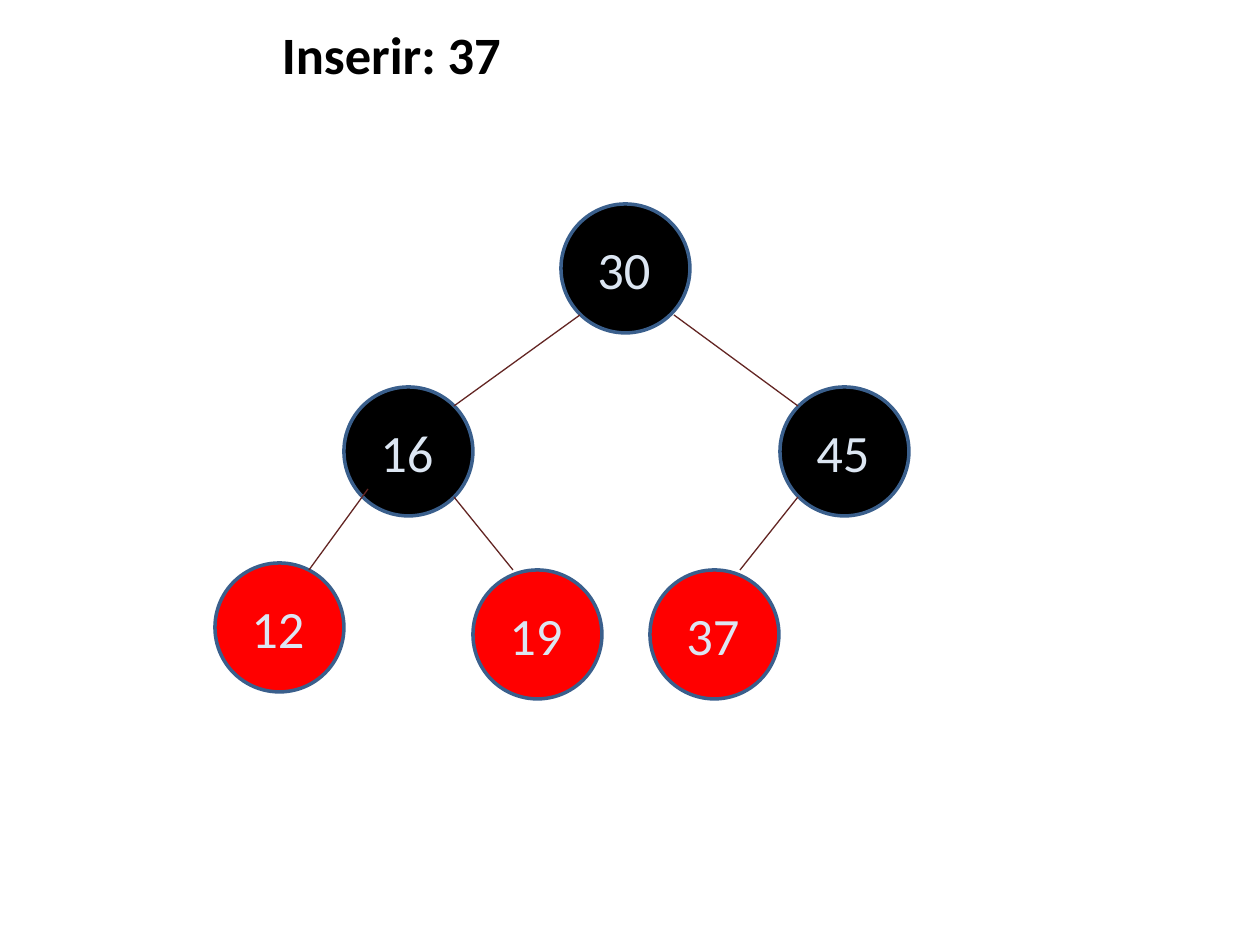
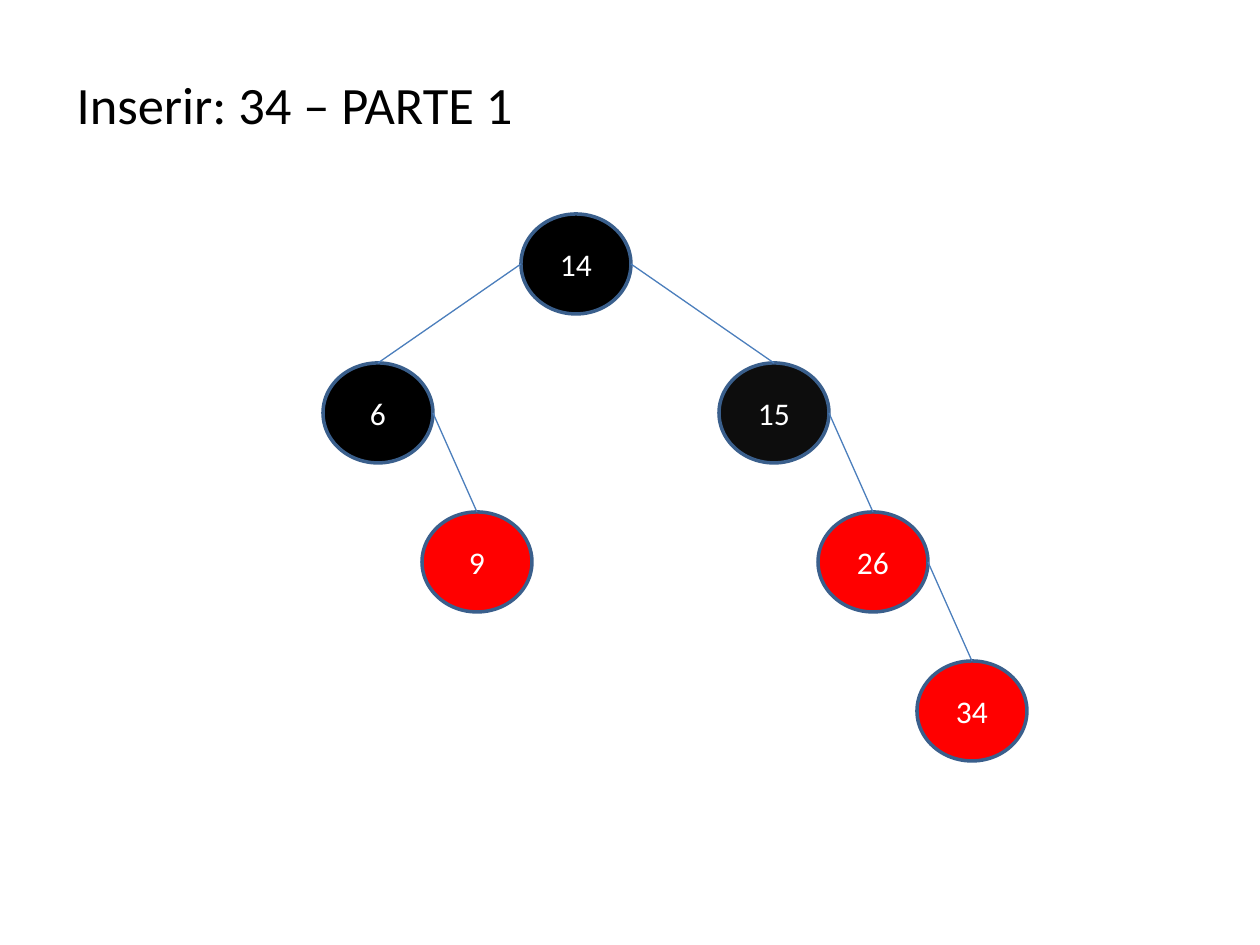
"""Builds two slides that show insertions into red-black trees."""
from dataclasses import dataclass

from lxml.etree import SubElement
from pptx import Presentation
from pptx.dml.color import RGBColor
from pptx.enum.shapes import MSO_CONNECTOR, MSO_SHAPE
from pptx.enum.text import MSO_ANCHOR, MSO_AUTO_SIZE, PP_ALIGN
from pptx.oxml.ns import qn
from pptx.util import Emu, Pt

PIXEL = 914400 // 126
FONT = "Calibri"
BLACK, SOFT_BLACK, RED, WHITE = "000000", "0D0D0D", "FF0000", "FFFFFF"
OUTLINE, PALE_BLUE, BROWN, BLUE = "3A5F8C", "DCE6F2", "632523", "4B7EBC"
DIAMETER = 129
NODE_WIDTH, NODE_HEIGHT = 110, 100
FIRST_COLUMN, COLUMN_STEP = 378, 99
FIRST_ROW, ROW_STEP = 264, 149


@dataclass(frozen=True)
class Node:
    key: str
    left: int
    top: int
    fill: str


@dataclass(frozen=True)
class GridNode:
    key: str
    column: int
    row: int
    fill: str
    parent: str = ""

    @property
    def center(self) -> tuple[int, int]:
        return (FIRST_COLUMN + self.column * COLUMN_STEP,
                FIRST_ROW + self.row * ROW_STEP)


@dataclass(frozen=True)
class Edge:
    start: tuple[int, int]
    end: tuple[int, int]


NODES_37 = [
    Node("30", 561, 204, BLACK),
    Node("16", 344, 387, BLACK),
    Node("45", 780, 387, BLACK),
    Node("12", 215, 563, RED),
    Node("19", 473, 570, RED),
    Node("37", 650, 570, RED),
]
EDGES_37 = [
    Edge((580, 315), (454, 406)),
    Edge((674, 315), (798, 406)),
    Edge((368, 489), (309, 570)),
    Edge((454, 497), (513, 570)),
    Edge((798, 497), (740, 570)),
]
NODES_34 = [
    GridNode("14", 2, 0, BLACK),
    GridNode("6", 0, 1, BLACK, "14"),
    GridNode("15", 4, 1, SOFT_BLACK, "14"),
    GridNode("9", 1, 2, RED, "6"),
    GridNode("26", 5, 2, RED, "15"),
    GridNode("34", 6, 3, RED, "26"),
]


def px(*lengths: int) -> list[Emu]:
    return [Emu(length * PIXEL) for length in lengths]


def color(value: str) -> RGBColor:
    return RGBColor.from_string(value)


def write(frame, text: str, size: int, ink: str, align=PP_ALIGN.LEFT, bold=False) -> None:
    para = frame.paragraphs[0]
    para.alignment = align
    span = para.add_run()
    span.text = text
    span.font.name = FONT
    span.font.size = Pt(size)
    span.font.bold = bold
    span.font.color.rgb = color(ink)


def add_page(deck, title: str, area: tuple[int, int, int, int], align, bold=False):
    page = deck.slides.add_slide(deck.slide_layouts[5])
    box = page.shapes.title
    box.left, box.top, box.width, box.height = px(*area)
    frame = box.text_frame
    frame.auto_size = MSO_AUTO_SIZE.NONE
    frame.vertical_anchor = MSO_ANCHOR.TOP
    write(frame, title, 30, BLACK, align, bold)
    return page


def add_ellipse(page, left: int, top: int, width: int, height: int, fill: str):
    ellipse = page.shapes.add_shape(MSO_SHAPE.OVAL, *px(left, top, width, height))
    ellipse.shadow.inherit = False
    ellipse.fill.solid()
    ellipse.fill.fore_color.rgb = color(fill)
    ellipse.line.color.rgb = color(OUTLINE)
    ellipse.line.width = Pt(2)
    return ellipse


def add_edge(page, edge: Edge, ink: str) -> None:
    line = page.shapes.add_connector(MSO_CONNECTOR.STRAIGHT, *px(*edge.start, *edge.end))
    line.line.color.rgb = color(ink)
    line.line.width = Pt(0.75)
    SubElement(line._element.spPr, qn("a:effectLst"))


def add_node(page, node: Node) -> None:
    add_ellipse(page, node.left, node.top, DIAMETER, DIAMETER, node.fill)
    label = page.shapes.add_textbox(*px(node.left + 24, node.top + 27, 82, 77))
    label.text_frame.word_wrap = True
    write(label.text_frame, node.key, 30, PALE_BLUE)


def add_grid_node(page, node: GridNode) -> None:
    x, y = node.center
    ellipse = add_ellipse(page, x - NODE_WIDTH // 2, y - NODE_HEIGHT // 2,
                          NODE_WIDTH, NODE_HEIGHT, node.fill)
    ellipse.text_frame.vertical_anchor = MSO_ANCHOR.MIDDLE
    write(ellipse.text_frame, node.key, 18, WHITE, PP_ALIGN.CENTER)


def edge_between(parent: GridNode, child: GridNode) -> Edge:
    side = 1 if child.column > parent.column else -1
    (parent_x, parent_y), (child_x, child_y) = parent.center, child.center
    return Edge((parent_x + side * NODE_WIDTH // 2, parent_y),
                (child_x, child_y - NODE_HEIGHT // 2))


def build_insert_37(deck) -> None:
    page = add_page(deck, "Inserir: 37", (15, 16, 753, 89), PP_ALIGN.CENTER, True)
    for node in NODES_37:
        add_node(page, node)
    for edge in EDGES_37:
        add_edge(page, edge, BROWN)


def build_insert_34(deck) -> None:
    page = add_page(deck, "Inserir: 34 – PARTE 1", (64, 66, 843, 110), PP_ALIGN.JUSTIFY)
    by_key = {node.key: node for node in NODES_34}
    for node in NODES_34:
        add_grid_node(page, node)
        if node.parent:
            add_edge(page, edge_between(by_key[node.parent], node), BLUE)


def main() -> None:
    deck = Presentation()
    deck.slide_width, deck.slide_height = px(1260, 945)
    build_insert_37(deck)
    build_insert_34(deck)
    deck.save("out.pptx")


main()
